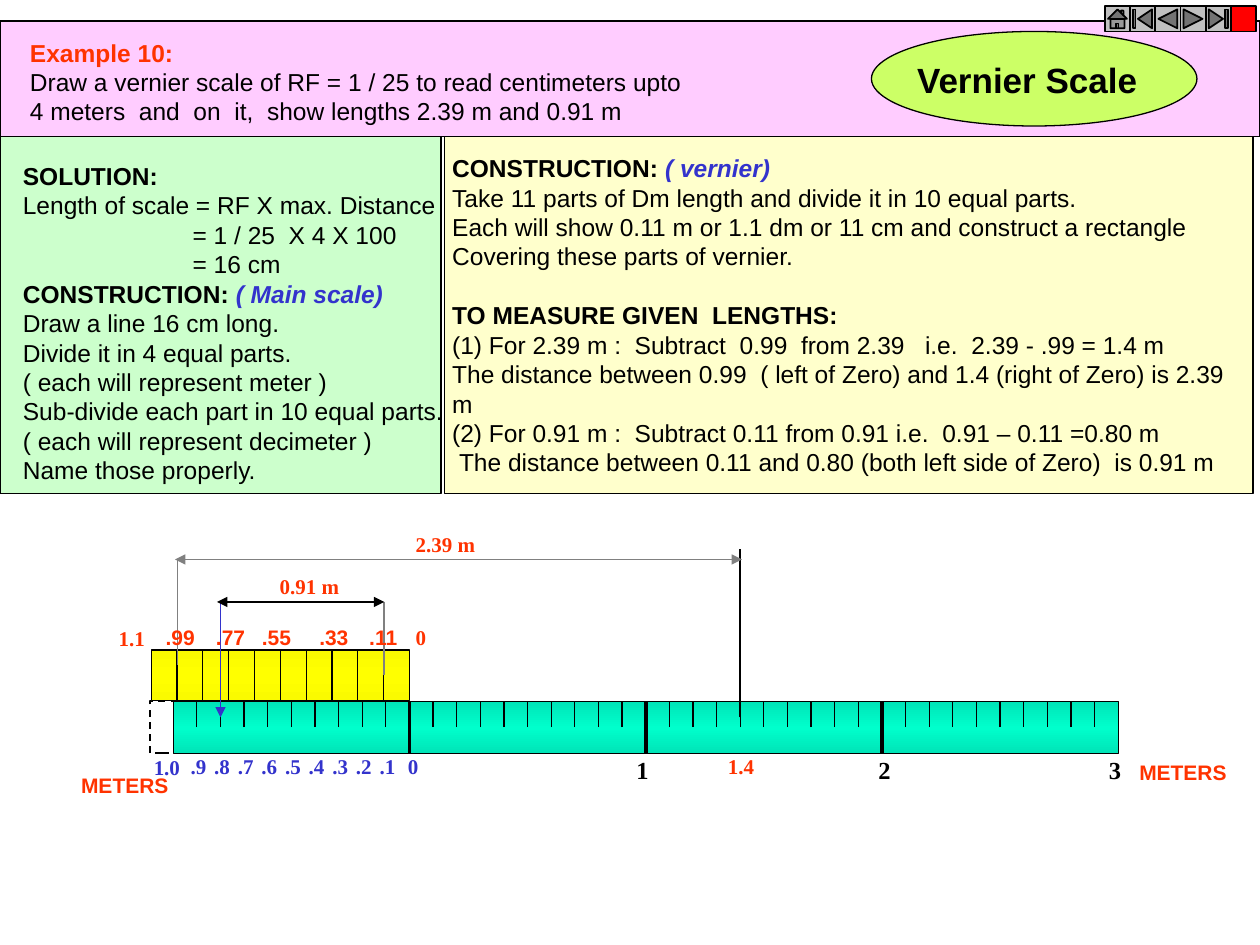
from copy import deepcopy
from pptx import Presentation
from pptx.dml.color import RGBColor
from pptx.enum.dml import MSO_LINE as Dash
from pptx.enum.shapes import MSO_CONNECTOR as Conn, MSO_SHAPE as Kind
from pptx.enum.text import MSO_ANCHOR as Anchor, PP_ALIGN as Align
from pptx.oxml.ns import qn
from pptx.util import Pt

rgb = RGBColor.from_string
BLACK, BLUE, RED, GREY = "000000", "3333CC", "FF3300", "808080"
SERIF, SANS = "Times New Roman", "Arial"
# Style name: colour, bold, italic
STYLES = {
    "plain": (BLACK, False, False),
    "bold": (BLACK, True, False),
    "note": (BLUE, True, True),
    "blue": (BLUE, True, False),
    "red": (RED, True, False),
}

prs = Presentation()
prs.slide_width, prs.slide_height = Pt(720), Pt(540)
slide = prs.slides.add_slide(prs.slide_layouts[5])
shapes = slide.shapes


def box(kind, x, y, w, h, fill, width=0.75):
    shape = shapes.add_shape(kind, Pt(x), Pt(y), Pt(w), Pt(h))
    shape.shadow.inherit = False
    shape.fill.solid()
    shape.fill.fore_color.rgb = rgb(fill)
    shape.line.color.rgb = rgb(BLACK)
    shape.line.width = Pt(width)
    return shape


def write(x, y, w, h, paras, size=14, font=SANS, align=Align.LEFT):
    frame = shapes.add_textbox(Pt(x), Pt(y), Pt(w), Pt(h)).text_frame
    frame.word_wrap = True
    for i, (indent, gap, runs) in enumerate(paras):
        para = frame.add_paragraph() if i else frame.paragraphs[0]
        para.alignment = align
        if indent:
            para._p.get_or_add_pPr().set("marL", str(Pt(indent)))
        if gap:
            para.space_before = Pt(gap)
        for words, style in runs:
            run = para.add_run()
            run.text = words
            run.font.name, run.font.size = font, Pt(size)
            colour, run.font.bold, run.font.italic = STYLES[style]
            run.font.color.rgb = rgb(colour)


# Heading band and panels
box(Kind.RECTANGLE, 0, 12, 720, 66, "FFCCFF")
box(Kind.RECTANGLE, 0, 78, 252, 204, "CCFFCC")
box(Kind.RECTANGLE, 254, 78, 462, 204, "FFFFCC")
box(Kind.OVAL, 498, 18, 186, 54, "CCFF66")

write(10, 18, 389, 58, [
    (0, 0, [("Example 10:", "red")]),
    (0, 0, [("Draw a vernier scale of RF = 1 / 25 to read centimeters upto", "plain")]),
    (0, 0, [("4 meters  and  on  it,  show lengths 2.39 m and 0.91 m", "plain")]),
])
write(6, 88.5, 258, 191, [
    (0, 0, [("SOLUTION:", "bold")]),
    (0, 0, [("Length of scale = RF X max. Distance", "plain")]),
    (97, 0, [("= 1 / 25  X 4 X 100", "plain")]),
    (97, 0, [("= 16 cm", "plain")]),
    (0, 0, [("CONSTRUCTION: ", "bold"), ("( Main scale)", "note")]),
    (0, 0, [("Draw a line 16 cm long.", "plain")]),
    (0, 0, [("Divide it in 4 equal parts.", "plain")]),
    (0, 0, [("( each will represent meter )", "plain")]),
    (0, 0, [("Sub-divide each part in 10 equal parts.", "plain")]),
    (0, 0, [("( each will represent decimeter )", "plain")]),
    (0, 0, [("Name those properly.", "plain")]),
])
write(251.3, 84, 468.7, 190, [
    (0, 0, [("CONSTRUCTION: ", "bold"), ("( vernier)", "note")]),
    (0, 0, [("Take 11 parts of Dm length and divide it in 10 equal parts.", "plain")]),
    (0, 0, [("Each will show 0.11 m or 1.1 dm or 11 cm and construct a rectangle", "plain")]),
    (0, 0, [("Covering these parts of vernier.", "plain")]),
    (0, 16.8, [("TO MEASURE GIVEN  LENGTHS:", "bold")]),
    (0, 0, [("(1) For 2.39 m :  Subtract  0.99  from 2.39   i.e.  2.39 - .99 = 1.4 m", "plain")]),
    (0, 0, [("The distance between 0.99  ( left of Zero) and 1.4 (right of Zero) is 2.39 m", "plain")]),
    (0, 0, [("(2) For 0.91 m :  Subtract 0.11 from 0.91 i.e.  0.91 – 0.11 =0.80 m", "plain")]),
    (3.9, 0, [("The distance between 0.11 and 0.80 (both left side of Zero)  is 0.91 m", "plain")]),
])

# Main scale and vernier
left, metre, top, base = 99, 135, 401, 430.5
deci = metre / 10
zero = left + metre
start, step = 86.4, 14.76
box(Kind.RECTANGLE, 85.7, 400.5, 13.7, 30, "FFFFFF", 1).line.dash_style = Dash.DASH
bars = [
    (box(Kind.RECTANGLE, left, top, 4 * metre, base - top, "00FFCC"), "00E5B8", "00FFCC"),
    (box(Kind.RECTANGLE, start, 371.5, 10 * step, 29, "FFFF00"), "FAFA00", "FFFF00"),
]
for bar, edge, core in bars:
    bar.fill.gradient()
    bar.fill.gradient_angle = 90
    for stop in bar.fill.gradient_stops:
        stop.color.rgb = rgb(edge)
    stops = bar.element.spPr.find(qn("a:gradFill")).find(qn("a:gsLst"))
    stops.insert(1, deepcopy(stops[0]))
    mid = bar.fill.gradient_stops[1]
    mid.color.rgb = rgb(core)
    stops[1].set("pos", "50000")

# Lines: x1, y1, x2, y2, colour, width, arrowheads
ends = ("headEnd", "tailEnd")
lines = [(start + k * step, 371, start + k * step, 400.5, BLACK, 0.75, ()) for k in range(1, 10)]
lines += [(left + k * deci, 415.5, left + k * deci, top, BLACK, 0.75, ())
          for k in range(1, 40) if k % 10]
lines += [(left + k * metre, base, left + k * metre, top, BLACK, 2.25 if 0 < k < 4 else 0.75, ())
          for k in range(5)]
lines += [
    (422.9, 410, 422.9, 314, BLACK, 0.75, ()),
    (101.5, 380, 101.5, 319.7, GREY, 0.75, ()),
    (219.5, 386, 219.5, 344, GREY, 0.75, ()),
    (126, 410, 126, 344, BLUE, 0.75, ends[:1]),
    (100, 319.7, 424, 319.7, GREY, 0.75, ends),
    (124, 344, 219.6, 344, BLACK, 0.75, ends),
]
for x1, y1, x2, y2, colour, width, heads in lines:
    line = shapes.add_connector(Conn.STRAIGHT, Pt(x1), Pt(y1), Pt(x2), Pt(y2))
    line.line.color.rgb = rgb(colour)
    line.line.width = Pt(width)
    props = line.element.spPr
    for head in heads:
        tip = props.find(qn("a:ln")).makeelement(qn("a:" + head), {"type": "triangle"})
        props.find(qn("a:ln")).append(tip)
    props.append(props.makeelement(qn("a:effectLst"), {}))

# Labels: text, centre, top, style, size, font
labels = [(f".{9 - k}", 113.4 + k * deci, 427, "blue", 12, SERIF) for k in range(9)]
labels += [(word, x, 353.5, "red", 12, SANS) for word, x in
           ((".99", 103), (".77", 131.8), (".55", 158), (".33", 190.8), (".11", 219))]
labels += [(word, x, 427.7, "bold", 14, SERIF) for word, x in
           (("1", 367.2), ("2", 505.4), ("3", 637.2))]
labels += [
    ("0", 240.5, 353.5, "red", 12, SERIF),
    ("1.1", 75.3, 354, "red", 12, SERIF),
    ("0", 236, 427, "blue", 12, SERIF),
    ("1.0", 95.4, 427.7, "blue", 12, SERIF),
    ("1.4", 423.5, 427, "red", 12, SERIF),
    ("2.39 m", 254.5, 300, "red", 12, SERIF),
    ("0.91 m", 176.8, 324, "red", 12, SERIF),
    ("METERS", 676, 430.5, "red", 12, SANS),
    ("METERS", 71.3, 438, "red", 12, SANS),
]
for word, x, y, style, size, font in labels:
    wide = 14 + 9 * len(word)
    write(x - wide / 2, y, wide, 22, [(0, 0, [(word, style)])], size, font, Align.CENTER)

# Title, raised above the oval
title = shapes.title
title.left, title.top, title.width, title.height = Pt(508), Pt(30), Pt(158), Pt(31)
frame = title.text_frame
frame.word_wrap = False
frame.vertical_anchor = Anchor.MIDDLE
frame.paragraphs[0].alignment = Align.CENTER
run = frame.paragraphs[0].add_run()
run.text = "Vernier Scale"
run.font.name, run.font.size, run.font.bold = SANS, Pt(20), True
run.font.color.rgb = rgb(BLACK)
title.element.getparent().append(title.element)

# Navigation buttons
keys = (Kind.ACTION_BUTTON_HOME, Kind.ACTION_BUTTON_BEGINNING,
        Kind.ACTION_BUTTON_BACK_OR_PREVIOUS, Kind.ACTION_BUTTON_FORWARD_OR_NEXT,
        Kind.ACTION_BUTTON_END, Kind.ACTION_BUTTON_CUSTOM)
for i, key in enumerate(keys):
    fill = "FF0000" if key == Kind.ACTION_BUTTON_CUSTOM else "C0C0C0"
    box(key, 631.4 + 14.4 * i, 3.6, 14.4, 14.4, fill, 1)

prs.save("out.pptx")
